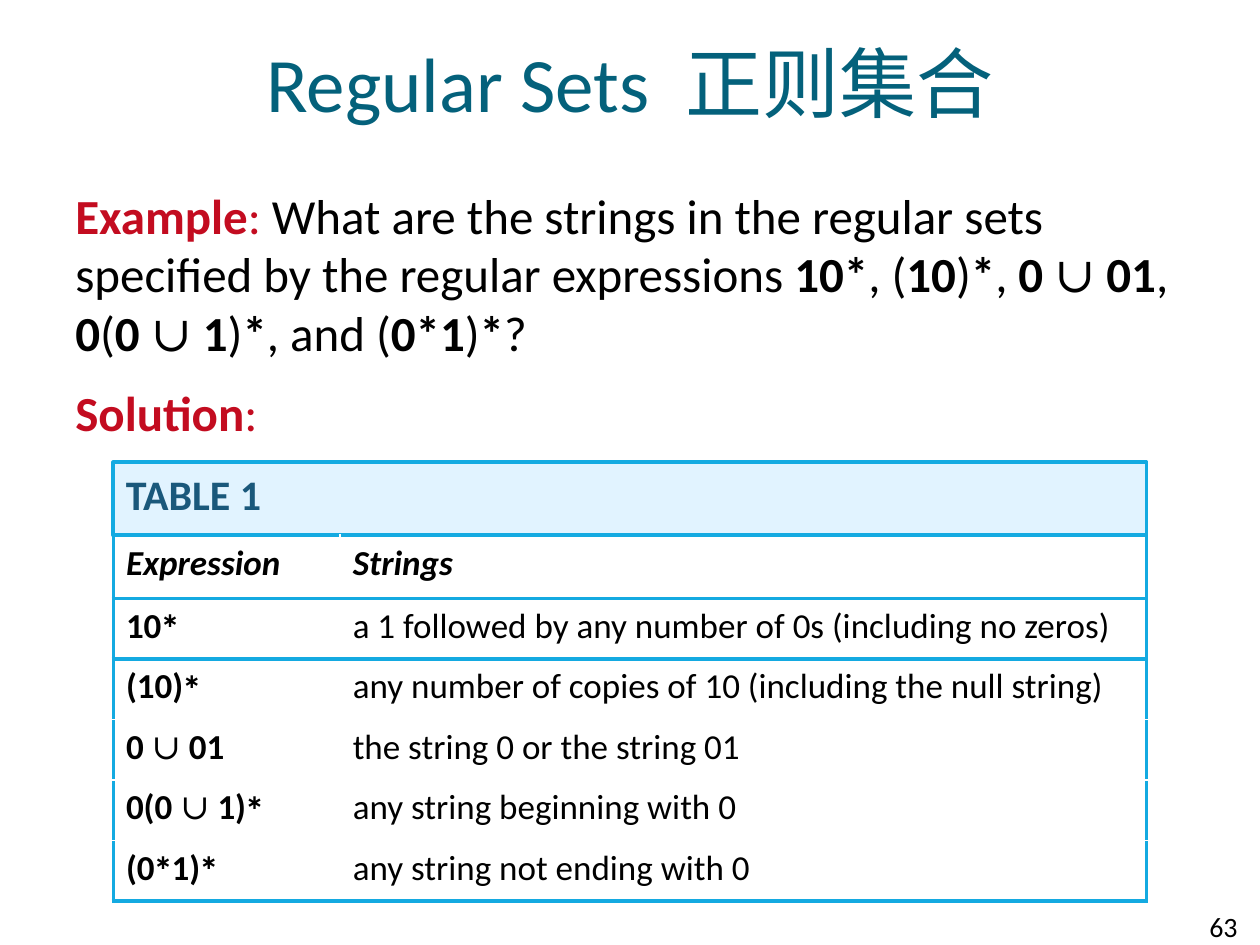
from lxml import etree
from pptx import Presentation
from pptx.dml.color import RGBColor
from pptx.enum.shapes import MSO_SHAPE
from pptx.enum.text import MSO_ANCHOR, PP_ALIGN
from pptx.oxml.ns import qn
from pptx.util import Inches, Pt

RECT = MSO_SHAPE.RECTANGLE
TOP, MIDDLE = MSO_ANCHOR.TOP, MSO_ANCHOR.MIDDLE
LEFT, CENTER = PP_ALIGN.LEFT, PP_ALIGN.CENTER

COLORS = {"title": "04617B", "text": "000000", "key": "C30C20",
          "caption": "1A587B", "band": "E1F3FF", "rule": "14AAE1"}
RULE_WIDTH = 2.25

# A run is (text, marks): b bold, i italic, k key colour, s superscript,
# u union sign font, w wide spacing
TITLE = [("Regular Sets", ""), (" ", "w"), ("正则集合", "")]
UNION = ("∪", "u")
QUESTION = [
    ("Example", "bk"), (": ", "k"),
    ("What are the strings in the regular sets specified by "
     "the regular expressions ", ""),
    ("10*", "b"), (", (", ""), ("10", "b"), (")", ""), ("*", "b"), (",", ""),
    (" 0 ", "b"), UNION, (" 01", "b"), (", ", ""),
    ("0", "b"), ("(", ""), ("0 ", "b"), UNION, (" 1", "b"), (")", ""),
    ("*", "b"), (", and (", ""), ("0*1", "b"), (")", ""), ("*", "b"), ("?", ""),
]
SOLUTION = [("Solution", "bk"), (":", "k")]
CAPTION = [("TABLE 1", "b")]
STAR = ("∗", "bs")
CELL_UNION = ("∪ ", "u")
ROWS = [
    ([("Expression", "bi")], [("Strings", "bi")]),
    ([("10", "b"), STAR],
     [("a 1 followed by any number of 0s (including no zeros)", "")]),
    ([("(10)", "b"), STAR],
     [("any number of copies of 10 (including the null string)", "")]),
    ([("0 ", "b"), CELL_UNION, ("01", "b")],
     [("the string 0 or the string 01", "")]),
    ([("0(0 ", "b"), CELL_UNION, ("1)", "b"), STAR],
     [("any string beginning with 0", "")]),
    ([("(0", "b"), STAR, ("1)", "b"), STAR],
     [("any string not ending with 0", "")]),
]
PAGE = [("63", "")]

TABLE_LEFT, TABLE_TOP = 0.9, 4.25
COL_WIDTHS = [1.8, 6.4]
ROW_HEIGHTS = [0.5] + [0.48] * (len(ROWS) - 1)
CAPTION_HEIGHT = 0.58


def rgb(name):
    return RGBColor.from_string(COLORS[name])


def write(tf, paragraphs, size, color="text", align=LEFT, anchor=TOP,
          before=0, after=0):
    tf.word_wrap = True
    tf.vertical_anchor = anchor
    for i, runs in enumerate(paragraphs):
        p = tf.add_paragraph() if i else tf.paragraphs[0]
        p.alignment = align
        p.space_before, p.space_after = Pt(before), Pt(after)
        for text, marks in runs:
            r = p.add_run()
            r.text = text
            r.font.size = Pt(size)
            r.font.name = "Cambria" if "u" in marks else "Calibri"
            r.font.bold = "b" in marks
            r.font.italic = "i" in marks
            r.font.color.rgb = rgb("key" if "k" in marks else color)
            if "s" in marks:
                r.font._element.set("baseline", "30000")
            if "w" in marks:
                r.font._element.set("spc", "1000")


def add_text(slide, box, paragraphs, size, **fmt):
    sp = slide.shapes.add_textbox(*map(Inches, box))
    write(sp.text_frame, paragraphs, size, **fmt)


def set_borders(cell, sides):
    """Rule the given sides, in the order L, R, T, B."""
    tcPr = cell._tc.get_or_add_tcPr()
    for i, side in enumerate(sides):
        ln = etree.Element(qn("a:ln" + side), w=str(Pt(RULE_WIDTH)))
        fill = etree.SubElement(ln, qn("a:solidFill"))
        etree.SubElement(fill, qn("a:srgbClr"), val=COLORS["rule"])
        tcPr.insert(i, ln)


def add_caption(slide):
    box = (TABLE_LEFT, TABLE_TOP - CAPTION_HEIGHT, sum(COL_WIDTHS), CAPTION_HEIGHT)
    sp = slide.shapes.add_shape(RECT, *map(Inches, box))
    sp.shadow.inherit = False
    sp.fill.solid()
    sp.fill.fore_color.rgb = rgb("band")
    sp.line.color.rgb = rgb("rule")
    sp.line.width = Pt(RULE_WIDTH)
    write(sp.text_frame, [CAPTION], 24, color="caption", before=12, after=6)


def add_strings_table(slide):
    box = (TABLE_LEFT, TABLE_TOP, sum(COL_WIDTHS), sum(ROW_HEIGHTS))
    table = slide.shapes.add_table(len(ROWS), len(COL_WIDTHS),
                                   *map(Inches, box)).table
    table.first_row = table.horz_banding = False
    for col, width in zip(table.columns, COL_WIDTHS):
        col.width = Inches(width)
    for i, (row, height) in enumerate(zip(table.rows, ROW_HEIGHTS)):
        row.height = Inches(height)
        across = "TB" if i == 0 else "T" if i == 1 else ""
        if i == len(ROWS) - 1:
            across = "B"
        for cell, runs, side in zip(row.cells, ROWS[i], "LR"):
            write(cell.text_frame, [runs], 20)
            cell.fill.background()
            set_borders(cell, side + across)


def main():
    prs = Presentation()
    prs.slide_width, prs.slide_height = Inches(10), Inches(7.5)
    slide = prs.slides.add_slide(prs.slide_layouts[6])
    add_text(slide, (9.5, 7.17, 0.5, 0.37), [PAGE], 16)
    add_text(slide, (0, 0, 10, 1.3), [TITLE], 44, color="title",
             align=CENTER, anchor=MIDDLE)
    add_text(slide, (0.5, 1.42, 9, 2.08), [QUESTION, SOLUTION], 28,
             before=6, after=6)
    add_caption(slide)
    add_strings_table(slide)
    prs.save("out.pptx")


if __name__ == "__main__":
    main()
